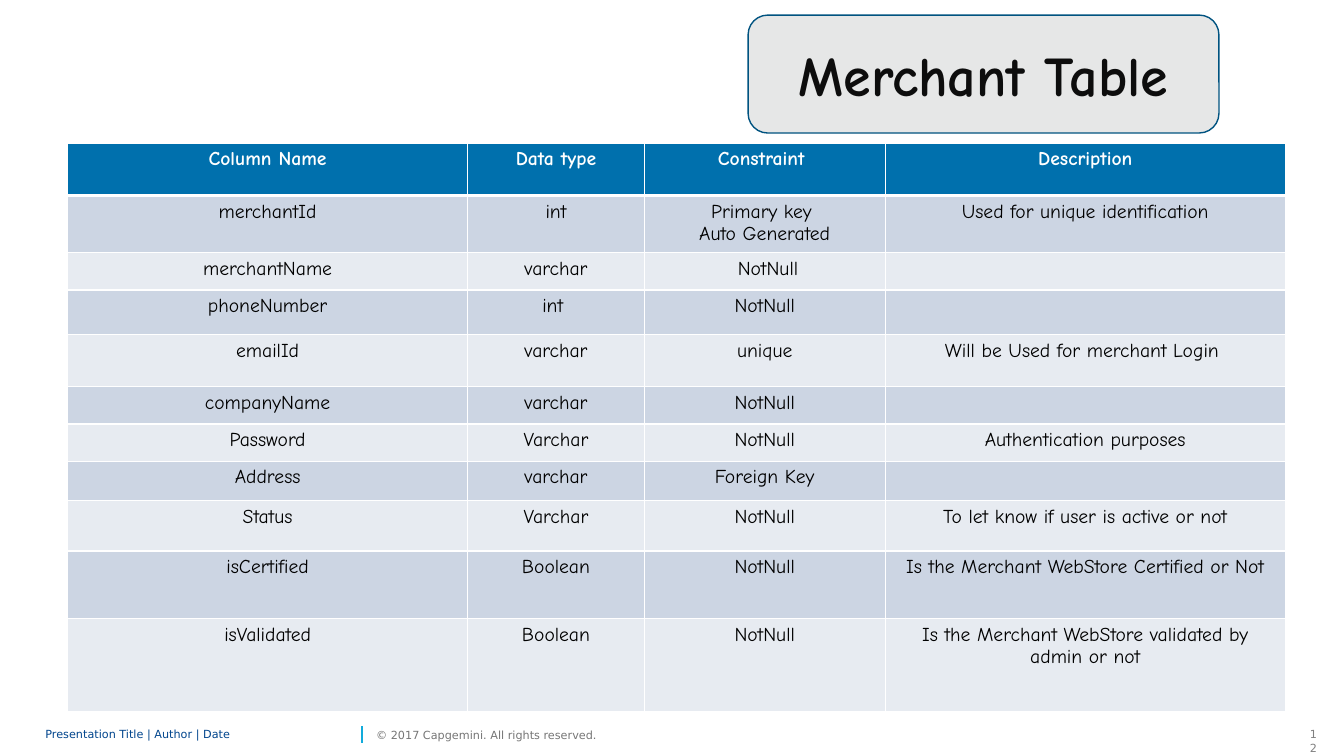
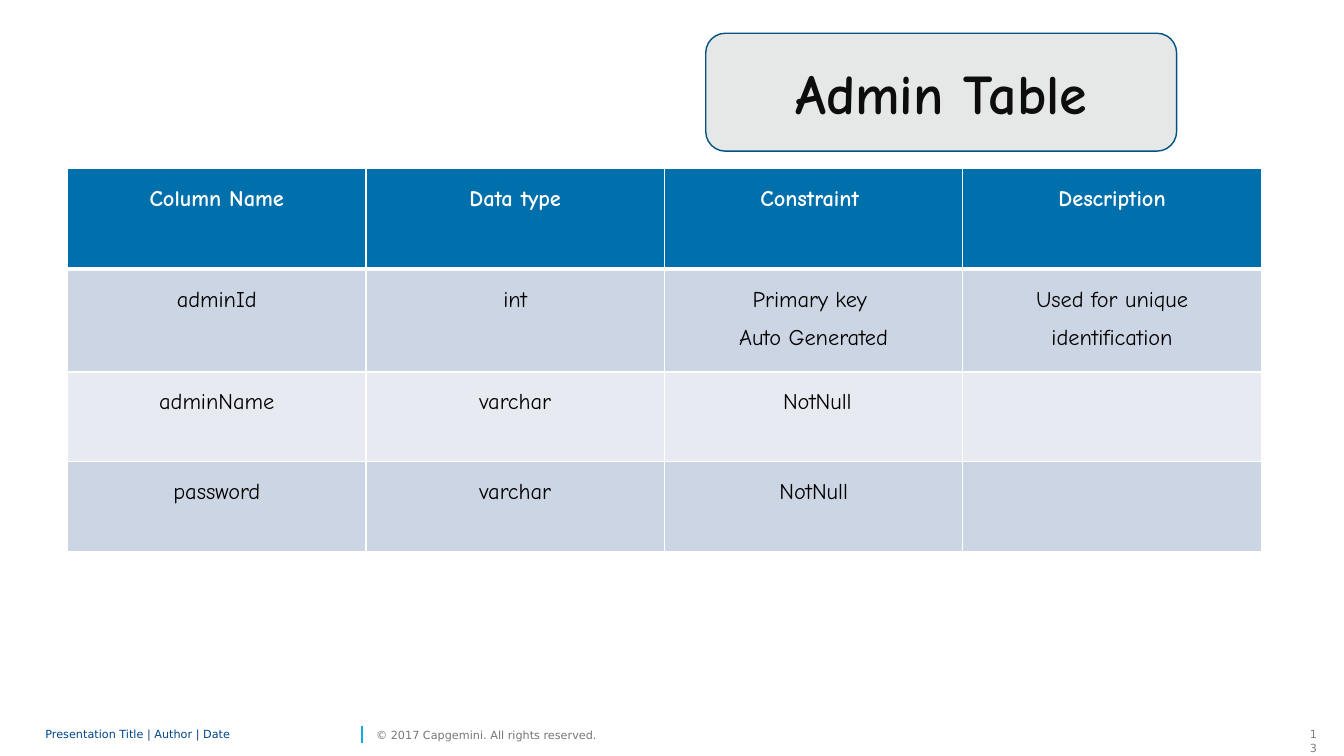
from lxml import etree
from pptx import Presentation
from pptx.dml.color import RGBColor
from pptx.enum import shapes, text
from pptx.oxml import ns
from pptx.util import Inches, Pt

WHITE = RGBColor(0xFF, 0xFF, 0xFF)
BLACK = RGBColor(0x00, 0x00, 0x00)
TITLE_INK = RGBColor(0x0D, 0x0D, 0x0D)
TITLE_FILL = RGBColor(0xE6, 0xE7, 0xE7)
TITLE_EDGE = RGBColor(0x00, 0x53, 0x80)
HEADER_FILL = RGBColor(0x00, 0x70, 0xAD)
BANDS = (RGBColor(0xE7, 0xEB, 0xF1), RGBColor(0xCC, 0xD5, 0xE3))
FOOTER_BLUE = RGBColor(0x00, 0x45, 0x8D)
FOOTER_GREY = RGBColor(0x76, 0x76, 0x76)
NUMBER_GREY = RGBColor(0x80, 0x80, 0x80)
DIVIDER = RGBColor(0x12, 0xAB, 0xDB)

TABLE_FONT = "Comic Neue"
FOOTER_FONT = "DejaVu Sans"

HEADER = ("Column Name", "Data type", "Constraint ", "Description")
KEY = (" int ", "Primary key \nAuto Generated", "Used for unique identification")

MERCHANT_ROWS = [
    HEADER,
    ("merchantId", *KEY),
    ("merchantName", "varchar", " NotNull", ""),
    ("phoneNumber", "int ", "NotNull", ""),
    ("emailId", "varchar", "unique", "Will be Used for merchant Login "),
    ("companyName", "varchar", "NotNull", ""),
    ("Password", "Varchar", "NotNull", "Authentication purposes"),
    ("Address", "varchar", "Foreign Key", ""),
    ("Status", "Varchar", "NotNull", "To let know if user is active or not"),
    ("isCertified", "Boolean", "NotNull", "Is the Merchant WebStore Certified or Not"),
    ("isValidated", "Boolean", "NotNull",
     "Is the Merchant WebStore validated by admin or not"),
]
MERCHANT_HEIGHTS = (0.52, 0.56, 0.37, 0.44, 0.52, 0.37, 0.37, 0.39, 0.5, 0.67, 0.92)

ADMIN_ROWS = [
    HEADER,
    ("adminId", *KEY),
    ("adminName", "varchar", " NotNull", ""),
    ("password", "varchar", "NotNull", ""),
]
ADMIN_HEIGHTS = (1, 1.02, 0.89, 0.89)


def style_paragraph(p, font, size, color, bold=False, align=None, spacing=None):
    p.alignment = align
    p.line_spacing = spacing
    for r in p.runs:
        r.font.name = font
        r.font.size = Pt(size)
        r.font.bold = bold
        r.font.color.rgb = color
    if not p.runs:
        end = etree.SubElement(p._p, ns.qn("a:endParaRPr"))
        end.set("sz", str(size * 100))


def add_title(s, left, top, title):
    box = (Inches(left), Inches(top), Inches(4.67), Inches(1.17))
    panel = s.shapes.add_shape(shapes.MSO_SHAPE.ROUNDED_RECTANGLE, *box)
    panel.shadow.inherit = False
    panel.fill.solid()
    panel.fill.fore_color.rgb = TITLE_FILL
    panel.line.color.rgb = TITLE_EDGE
    panel.line.width = Pt(1)

    sp = s.shapes.title
    sp._element.addprevious(panel._element)
    sp.left, sp.top, sp.width, sp.height = box
    tf = sp.text_frame
    tf.text = title
    tf.auto_size = text.MSO_AUTO_SIZE.NONE
    tf.vertical_anchor = text.MSO_ANCHOR.MIDDLE
    style_paragraph(tf.paragraphs[0], TABLE_FONT, 40, TITLE_INK, True,
                    text.PP_ALIGN.CENTER)


def set_borders(cell, top, bottom):
    tcPr = cell._tc.get_or_add_tcPr()
    for side, points in (("L", 1), ("R", 1), ("T", top), ("B", bottom)):
        ln = etree.SubElement(tcPr, ns.qn("a:ln" + side), w=str(Pt(points)))
        fill = etree.SubElement(ln, ns.qn("a:solidFill"))
        etree.SubElement(fill, ns.qn("a:srgbClr"), val=str(WHITE))


def add_schema_table(s, left, top, widths, heights, rows, size, spacing):
    frame = s.shapes.add_table(len(rows), len(widths), Inches(left), Inches(top),
                               Inches(sum(widths)), Inches(sum(heights)))
    table = frame.table
    for column, width in zip(table.columns, widths):
        column.width = Inches(width)
    for i, (values, height) in enumerate(zip(rows, heights)):
        table.rows[i].height = Inches(height)
        header = i == 0
        for j, value in enumerate(values):
            cell = table.cell(i, j)
            set_borders(cell, 3 if i == 1 else 1, 3 if header else 1)
            cell.fill.solid()
            cell.fill.fore_color.rgb = HEADER_FILL if header else BANDS[i % 2]
            cell.text_frame.text = value
            for p in cell.text_frame.paragraphs:
                style_paragraph(p, TABLE_FONT, size, WHITE if header else BLACK,
                                header, text.PP_ALIGN.CENTER, spacing)


def add_footer_text(s, left, width, words, color, spacing=None):
    sp = s.shapes.add_textbox(Inches(left), Inches(7.17), Inches(width), Inches(0.24))
    tf = sp.text_frame
    tf.text = words
    tf.word_wrap = True
    tf.vertical_anchor = text.MSO_ANCHOR.MIDDLE
    tf.margin_left = tf.margin_right = tf.margin_top = tf.margin_bottom = 0
    style_paragraph(tf.paragraphs[0], FOOTER_FONT, 8, color, spacing=spacing)


def add_page_number(s, number):
    sp = s.shapes.add_textbox(Inches(12.89), Inches(7.17), Inches(0.27), Inches(0.24))
    tf = sp.text_frame
    tf.text = str(number)
    tf.word_wrap = True
    style_paragraph(tf.paragraphs[0], FOOTER_FONT, 8, NUMBER_GREY,
                    align=text.PP_ALIGN.RIGHT)


def add_footer(s, number):
    add_page_number(s, number)
    divider = s.shapes.add_connector(shapes.MSO_CONNECTOR.STRAIGHT, Inches(3.59),
                                     Inches(7.37), Inches(3.59), Inches(7.2))
    divider.line.color.rgb = DIVIDER
    divider.line.width = Pt(1)
    etree.SubElement(divider._element.spPr, ns.qn("a:effectLst"))
    add_footer_text(s, 0.45, 3.09, "Presentation Title | Author | Date",
                    FOOTER_BLUE, 0.85)
    add_footer_text(s, 3.73, 2.43, "© 2017 Capgemini. All rights reserved.",
                    FOOTER_GREY)


def add_schema_slide(prs, number, title, title_at, table_top, widths, heights, rows,
                     size, spacing=None):
    s = prs.slides.add_slide(prs.slide_layouts[5])
    add_footer(s, number)
    add_title(s, *title_at, title)
    add_schema_table(s, 0.67, table_top, widths, heights, rows, size, spacing)


def main():
    prs = Presentation()
    prs.slide_width = Inches(13.33)
    prs.slide_height = Inches(7.5)
    add_schema_slide(prs, 12, "Merchant Table", (7.42, 0.15), 1.42,
                     (3.97, 1.75, 2.39, 3.97), MERCHANT_HEIGHTS, MERCHANT_ROWS, 14)
    add_schema_slide(prs, 13, "Admin Table", (7, 0.33), 1.67,
                     (2.96,) * 4, ADMIN_HEIGHTS, ADMIN_ROWS, 16, 1.5)
    prs.save("out.pptx")


if __name__ == "__main__":
    main()
